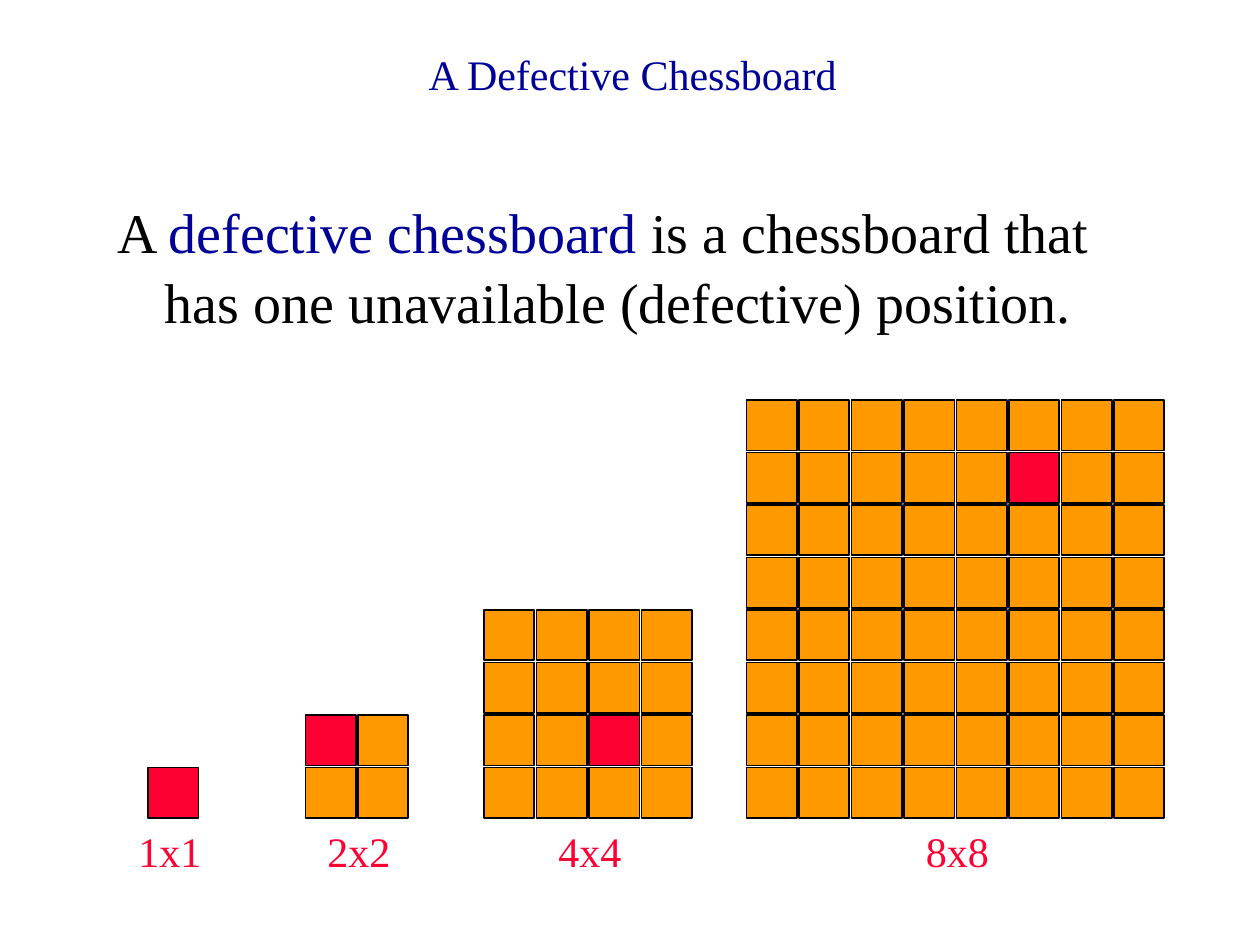
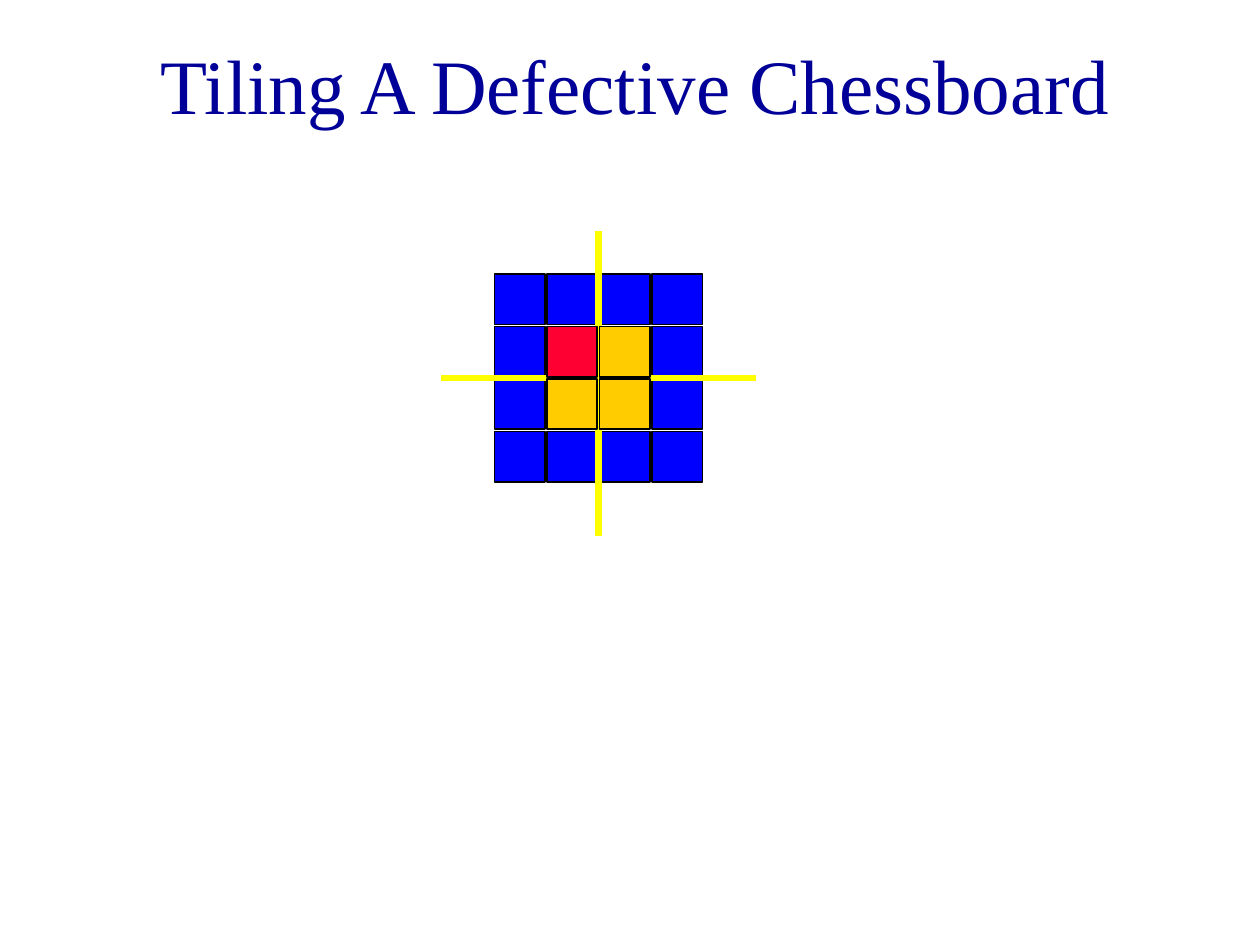
from lxml import etree
from pptx import Presentation
from pptx.dml.color import RGBColor
from pptx.enum.shapes import MSO_CONNECTOR, MSO_SHAPE
from pptx.enum.text import MSO_ANCHOR, PP_ALIGN
from pptx.oxml.ns import qn
from pptx.util import Pt

RECT = MSO_SHAPE.RECTANGLE
LINE = MSO_CONNECTOR.STRAIGHT
LEFT, MID = PP_ALIGN.LEFT, PP_ALIGN.CENTER
TOP, CENTER = MSO_ANCHOR.TOP, MSO_ANCHOR.MIDDLE

PX = 7620  # EMU per px, 120 px to the inch
FONT = "Times New Roman"
STEP, SIDE = 50, 48  # pitch and side of a board square
COLORS = {
    "title": "000099", "text": "000000", "edge": "000000",
    "defect": "FF0033", "board": "FF9900", "outer": "0000FF",
    "tile": "FFCC00", "split": "FFFF00",
}
HEX = {name: RGBColor.from_string(code) for name, code in COLORS.items()}


def add_text(shapes, box, parts, size, align=LEFT, anchor=TOP):
    """Add a one-paragraph text box; parts are (text, colour) pairs."""
    frame = shapes.add_textbox(*(n * PX for n in box)).text_frame
    frame.word_wrap = True
    frame.vertical_anchor = anchor
    para = frame.paragraphs[0]
    para.alignment = align
    for words, color in parts:
        run = para.add_run()
        run.text = words
        run.font.name = FONT
        run.font.size = Pt(size)
        run.font.color.rgb = HEX[color]
    return para


def add_cell(shapes, left, top, col, row, color):
    """Add the square at col, row of the board whose corner is left, top."""
    cell = shapes.add_shape(RECT, (left + col * STEP) * PX,
                            (top + row * STEP) * PX, SIDE * PX, SIDE * PX)
    cell.shadow.inherit = False
    cell.fill.solid()
    cell.fill.fore_color.rgb = HEX[color]
    cell.line.color.rgb = HEX["edge"]
    cell.line.width = Pt(1)


deck = Presentation()
deck.slide_width, deck.slide_height = 1200 * PX, 900 * PX
blank = deck.slide_layouts[6]

# Slide 1: definition
shapes = deck.slides.add_slide(blank).shapes
add_text(shapes, (310, 40, 585, 102),
         [("A Defective Chessboard", "title")], 24, MID)
para = add_text(shapes, (100, 180, 1020, 160), [
    ("A ", "text"),
    ("defective chessboard", "title"),
    (" is a chessboard that has one unavailable (defective) position.", "text"),
], 32)
para.space_before = Pt(8)
para.line_spacing = 1.04
props = para._p.get_or_add_pPr()
props.set("marL", str(45 * PX))
props.set("indent", str(-45 * PX))

# Boards stand on one base line: size, left, defect (col, row), label left
BASE = 781
boards = [
    (1, 141, (0, 0), 120),
    (2, 291, (0, 0), 300),
    (4, 461, (2, 2), 520),
    (8, 711, (5, 1), 870),
]
for size, left, defect, tag in boards:
    group = shapes.add_group_shape().shapes
    for row in range(size):
        for col in range(size):
            color = "defect" if (col, row) == defect else "board"
            add_cell(group, left, BASE - size * STEP, col, row, color)
    para = add_text(group, (tag, 780, 100, 60),
                    [(f"{size}x{size}", "defect")], 24)
    para.space_before = Pt(15)

# Slide 2: tiling
shapes = deck.slides.add_slide(blank).shapes
add_text(shapes, (90, 20, 1030, 120),
         [("Tiling A Defective Chessboard", "title")], 44, MID, CENTER)

# Outer ring of the 4x4 board
inner = [(col, row) for row in (1, 2) for col in (1, 2)]
ring = shapes.add_group_shape().shapes
for row in range(4):
    for col in range(4):
        if (col, row) not in inner:
            add_cell(ring, 471, 261, col, row, "outer")

# Lines that split the board into quadrants
for ends in [(570, 220, 570, 510), (420, 360, 720, 360)]:
    split = shapes.add_connector(LINE, *(n * PX for n in ends))
    split.line.color.rgb = HEX["split"]
    split.line.width = Pt(4)
    etree.SubElement(split._element.spPr, qn("a:effectLst"))

# Middle squares: the defect and the first tile
middle = shapes.add_group_shape().shapes
for col, row in inner:
    color = "defect" if (col, row) == (1, 1) else "tile"
    add_cell(middle, 471, 261, col, row, color)

deck.save("out.pptx")
